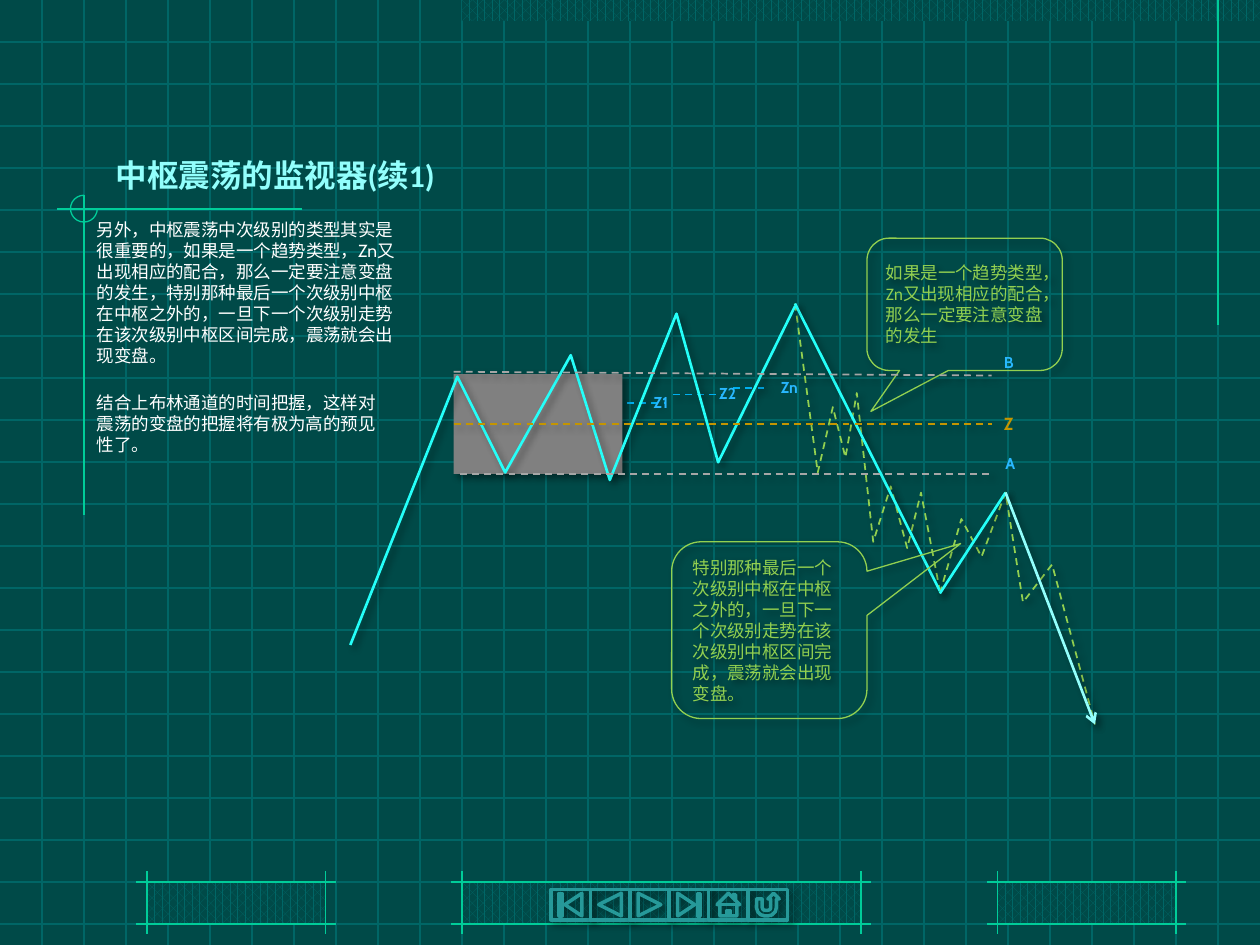
from lxml.etree import SubElement
from pptx import Presentation
from pptx.dml.color import RGBColor
from pptx.enum.dml import MSO_LINE, MSO_PATTERN
from pptx.enum.shapes import MSO_CONNECTOR, MSO_SHAPE
from pptx.enum.text import MSO_ANCHOR, PP_ALIGN
from pptx.oxml.ns import qn
from pptx.util import Pt

WIDTH, HEIGHT = 720, 540
COLORS = {
    "background": "004A48", "grid": "006666", "frame": "00CC99",
    "title": "92FFFC", "body": "FFFFFF", "trend": "25FFF9", "fall": "92FFFC",
    "sublevel": "92D050", "zone": "808080", "bound": "A6A6A6", "middle": "C49500",
    "label": "29B8FF", "z_level": "00B0F0", "button": "269999", "shadow": "000000",
}

TITLE = "中枢震荡的监视器(续1)"
# text, left, top, width, height
NOTES = [
    ("另外，中枢震荡中次级别的类型其实是很重要的，如果是一个趋势类型，Zn又出现相应的配合，"
     "那么一定要注意变盘的发生，特别那种最后一个次级别中枢在中枢之外的，"
     "一旦下一个次级别走势在该次级别中枢区间完成，震荡就会出现变盘。", 48.2, 121.7, 193, 92.2),
    ("结合上布林通道的时间把握，这样对震荡的变盘的把握将有极为高的预见性了。",
     48.2, 220.3, 175.7, 43.9),
]
# text, left, top, width, height, pointer x and y
CALLOUTS = [
    ("特别那种最后一个次级别中枢在中枢之外的，一旦下一个次级别走势在该次级别中枢区间完成，"
     "震荡就会出现变盘。", 383.8, 309.6, 111.6, 101, 0.98, -0.49),
    ("如果是一个趋势类型，Zn又出现相应的配合，那么一定要注意变盘的发生",
     495.4, 136.1, 111.6, 75.6, -0.48, 0.81),
]
# text, left, top, width, height, size, colour
Z_LABELS = [
    ("Z1", 366.5, 221, 25.9, 18, 9, "label"),
    ("Z2", 403.9, 216, 25.9, 18, 9, "label"),
    ("Zn", 439.2, 212.4, 25.9, 18, 9, "label"),
]
LEVEL_LABELS = [
    ("Z", 566.6, 232.6, 20.9, 19.4, 10, "middle"),
    ("B", 566.6, 198, 20.9, 18, 9, "label"),
    ("A", 567.4, 255.6, 20.9, 18, 9, "label"),
]
# left, right, height of each Z level
Z_LEVELS = [(351.4, 379.4, 230.4), (384.5, 412.6, 225.4), (419, 439.2, 221.8)]

ZONE = (259.2, 213.8, 96.5, 57)
LEVEL_END = 566.6
OSCILLATION = [(200.2, 368.6), (261.4, 215.3), (288.7, 270), (326.2, 203),
               (348.5, 274.3), (386.6, 179.3), (410.4, 264.2), (454.3, 175)]
FIRST_DROP = [(454.3, 173.5), (467.3, 270), (475.9, 232.6), (483.1, 261.4), (489.6, 224.6),
              (499, 309.6), (509, 277.9), (518.4, 313.2), (526.3, 281.5), (537.1, 337.7)]
REBOUND_AND_DROP = [(537.1, 339.1), (549.4, 296.6), (560.9, 318.2), (574.6, 281.5),
                    (584.6, 344.2), (601.2, 322.6), (625.7, 414)]

GRID_STEP = 24
TOP_BAND = (264, 0, 456, 12)
FRAMES = [(264, 492), (570, 672), (84, 186)]
FRAME_TOP, FRAME_BOTTOM, OVERHANG = 504, 528, 6
CORNER_LINES = [((696, 0), (696, 186)), ((172.8, 119.5), (32.4, 119.5)), ((48, 111.6), (48, 294.5))]
CORNER_ARC = (40.3, 111.6, 15.3, 15.3)

BUTTONS = [MSO_SHAPE.ACTION_BUTTON_BEGINNING, MSO_SHAPE.ACTION_BUTTON_BACK_OR_PREVIOUS,
           MSO_SHAPE.ACTION_BUTTON_FORWARD_OR_NEXT, MSO_SHAPE.ACTION_BUTTON_END,
           MSO_SHAPE.ACTION_BUTTON_HOME, MSO_SHAPE.ACTION_BUTTON_RETURN]
BUTTON_LEFT, BUTTON_TOP, BUTTON_WIDTH, BUTTON_HEIGHT = 314.8, 508.3, 22.55, 17.3


def rgb(name):
    return RGBColor.from_string(COLORS[name])


def add_shadow(effects):
    shadow = SubElement(effects, qn("a:outerShdw"), blurRad=str(Pt(4)), dist=str(Pt(3)),
                        dir="2700000", algn="tl", rotWithShape="0")
    color = SubElement(shadow, qn("a:srgbClr"), val=COLORS["shadow"])
    SubElement(color, qn("a:alpha"), val="40000")


def style_outline(part, color, width, dashed=False, arrow=False, shadow=True):
    part.line.color.rgb = rgb(color)
    part.line.width = Pt(width)
    if dashed:
        part.line.dash_style = MSO_LINE.DASH
    if arrow:
        SubElement(part.line._ln, qn("a:tailEnd"), type="arrow")
    effects = SubElement(part._element.spPr, qn("a:effectLst"))
    if shadow:
        add_shadow(effects)


def add_line(start, end, color, width, **style):
    line = shapes.add_connector(MSO_CONNECTOR.STRAIGHT, *map(Pt, start + end))
    style_outline(line, color, width, **style)
    return line


def add_polyline(points, color, width, **style):
    corners = [(Pt(x), Pt(y)) for x, y in points]
    builder = shapes.build_freeform(*corners[0])
    builder.add_line_segments(corners[1:], close=False)
    polyline = builder.convert_to_shape()
    polyline.fill.background()
    style_outline(polyline, color, width, **style)


def add_preset(kind, box):
    return shapes.add_shape(kind, *map(Pt, box))


def add_hatched_band(box):
    band = add_preset(MSO_SHAPE.RECTANGLE, box)
    band.fill.patterned()
    band.fill.pattern = MSO_PATTERN.PERCENT_60
    band.fill.fore_color.rgb = rgb("grid")
    band.fill.back_color.rgb = rgb("background")
    band.line.fill.background()
    band.shadow.inherit = False


def write(frame, text, font, size, color, bold=False):
    paragraph = frame.paragraphs[0]
    paragraph.alignment = PP_ALIGN.LEFT
    run = paragraph.add_run()
    run.text = text
    run.font.size, run.font.bold = Pt(size), bold
    run.font.color.rgb = rgb(color)
    run.font.name = font
    return run


def add_text(text, box, font, size, color, bold=False, wrap=True, anchor=MSO_ANCHOR.TOP):
    frame = shapes.add_textbox(*map(Pt, box)).text_frame
    frame.word_wrap = wrap
    frame.vertical_anchor = anchor
    return write(frame, text, font, size, color, bold)


def add_labels(labels):
    for text, *box, size, color in labels:
        add_text(text, box, "Cabin", size, color, bold=True, wrap=False)


deck = Presentation()
deck.slide_width, deck.slide_height = Pt(WIDTH), Pt(HEIGHT)
slide = deck.slides.add_slide(deck.slide_layouts[6])
slide.background.fill.solid()
slide.background.fill.fore_color.rgb = rgb("background")
shapes = slide.shapes

# Backdrop
for y in range(GRID_STEP, HEIGHT, GRID_STEP):
    add_line((0, y), (WIDTH, y), "grid", 0.75, shadow=False)
for x in range(GRID_STEP, WIDTH, GRID_STEP):
    add_line((x, 0), (x, HEIGHT), "grid", 0.75, shadow=False)
add_hatched_band(TOP_BAND)
for left, right in FRAMES:
    add_hatched_band((left, FRAME_TOP, right - left, FRAME_BOTTOM - FRAME_TOP))
    for y in (FRAME_TOP, FRAME_BOTTOM):
        add_line((left - OVERHANG, y), (right + OVERHANG, y), "frame", 0.75, shadow=False)
    for x in (left, right):
        add_line((x, FRAME_TOP - OVERHANG), (x, FRAME_BOTTOM + OVERHANG), "frame", 0.75, shadow=False)
for start, end in CORNER_LINES:
    add_line(start, end, "frame", 0.75, shadow=False)
arc = add_preset(MSO_SHAPE.ARC, CORNER_ARC)
arc.adjustments[0], arc.adjustments[1] = 0, 162  # clockwise from 0 to 270 degrees
arc.fill.background()
style_outline(arc, "frame", 0.75, shadow=False)

# Title and notes
title = add_text(TITLE, (59, 54.7, 612, 59.8), "Calibri", 18, "title", bold=True,
                 anchor=MSO_ANCHOR.BOTTOM)
title_effects = SubElement(title.font._element, qn("a:effectLst"))
add_shadow(title_effects)
title.font._element.find(qn("a:solidFill")).addnext(title_effects)
for text, *box in NOTES:
    add_text(text, box, "Cabin", 10, "body")

# Price chart
for left, right, y in Z_LEVELS:
    add_line((left, y), (right, y), "z_level", 1, dashed=True)
add_labels(Z_LABELS)
add_polyline(FIRST_DROP, "sublevel", 1, dashed=True)
add_line(FIRST_DROP[0], FIRST_DROP[-1], "trend", 1.5)
zone = add_preset(MSO_SHAPE.RECTANGLE, ZONE)
zone.fill.solid()
zone.fill.fore_color.rgb = rgb("zone")
zone.line.fill.background()
add_shadow(SubElement(zone._element.spPr, qn("a:effectLst")))
add_polyline(OSCILLATION, "trend", 1.5)
add_labels(LEVEL_LABELS)
add_polyline(REBOUND_AND_DROP, "sublevel", 1, dashed=True)
low, peak, target = (REBOUND_AND_DROP[i] for i in (0, 3, -1))
add_line(low, peak, "trend", 1.5)
add_line(peak, target, "fall", 1.5, arrow=True)

for text, *box, pointer_x, pointer_y in CALLOUTS:
    callout = add_preset(MSO_SHAPE.ROUNDED_RECTANGULAR_CALLOUT, box)
    callout.adjustments[0], callout.adjustments[1] = pointer_x, pointer_y
    callout.fill.background()
    style_outline(callout, "sublevel", 0.75)
    callout.text_frame.word_wrap = True
    callout.text_frame.vertical_anchor = MSO_ANCHOR.MIDDLE
    write(callout.text_frame, text, "Calibri", 10, "sublevel")

zone_middle = ZONE[1] + ZONE[3] / 2
middle_line = add_line((ZONE[0], zone_middle), (LEVEL_END, zone_middle), "middle", 1, dashed=True)
middle_line.begin_connect(zone, 1)
add_line((ZONE[0], 212.4), (LEVEL_END, 214.6), "bound", 1, dashed=True)
add_line((262.8, 270.7), (LEVEL_END, 270.7), "bound", 1, dashed=True)

# Navigation
for i, kind in enumerate(BUTTONS):
    button = add_preset(kind, (BUTTON_LEFT + i * BUTTON_WIDTH, BUTTON_TOP, BUTTON_WIDTH, BUTTON_HEIGHT))
    button.fill.background()
    style_outline(button, "button", 2)

deck.save("out.pptx")
